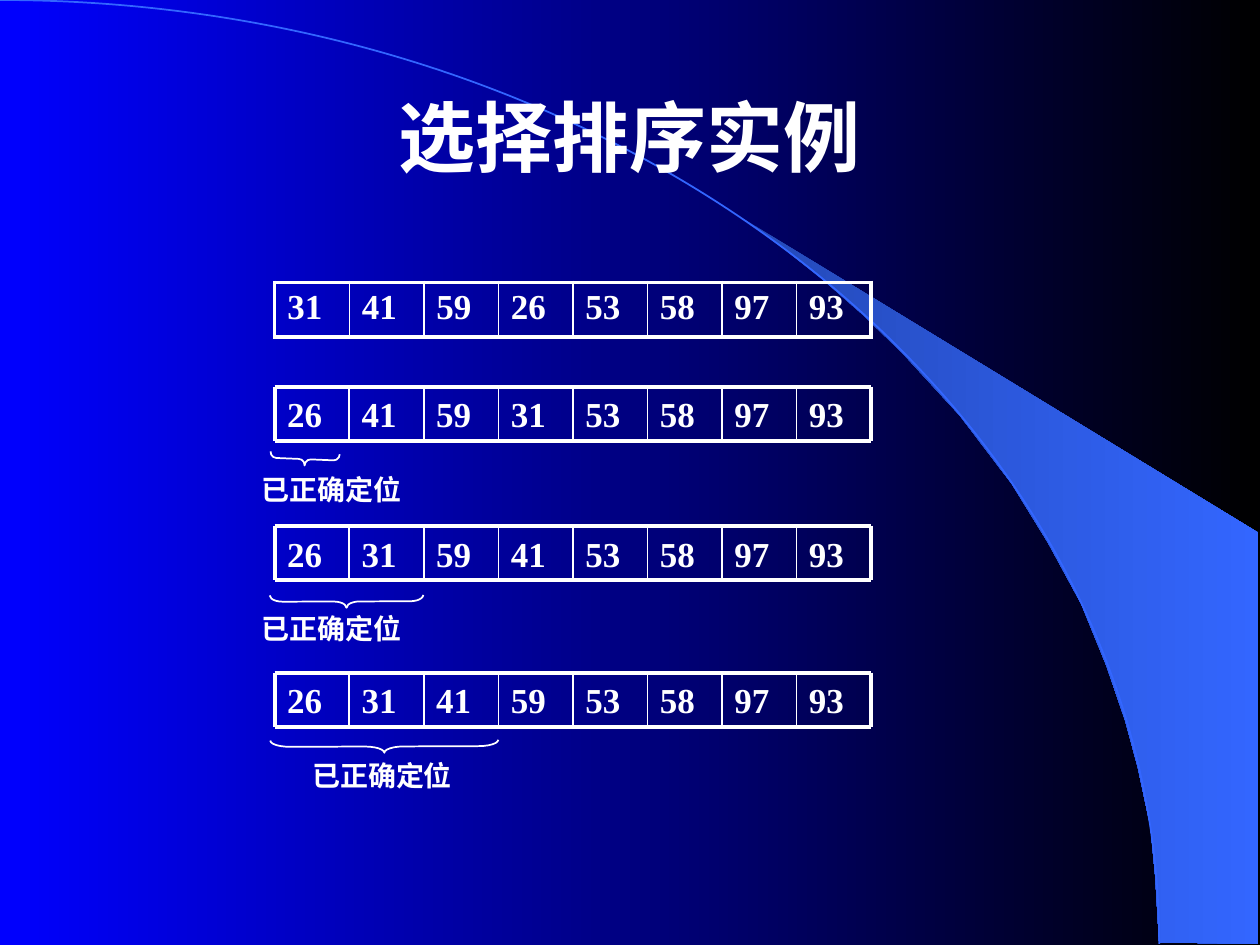
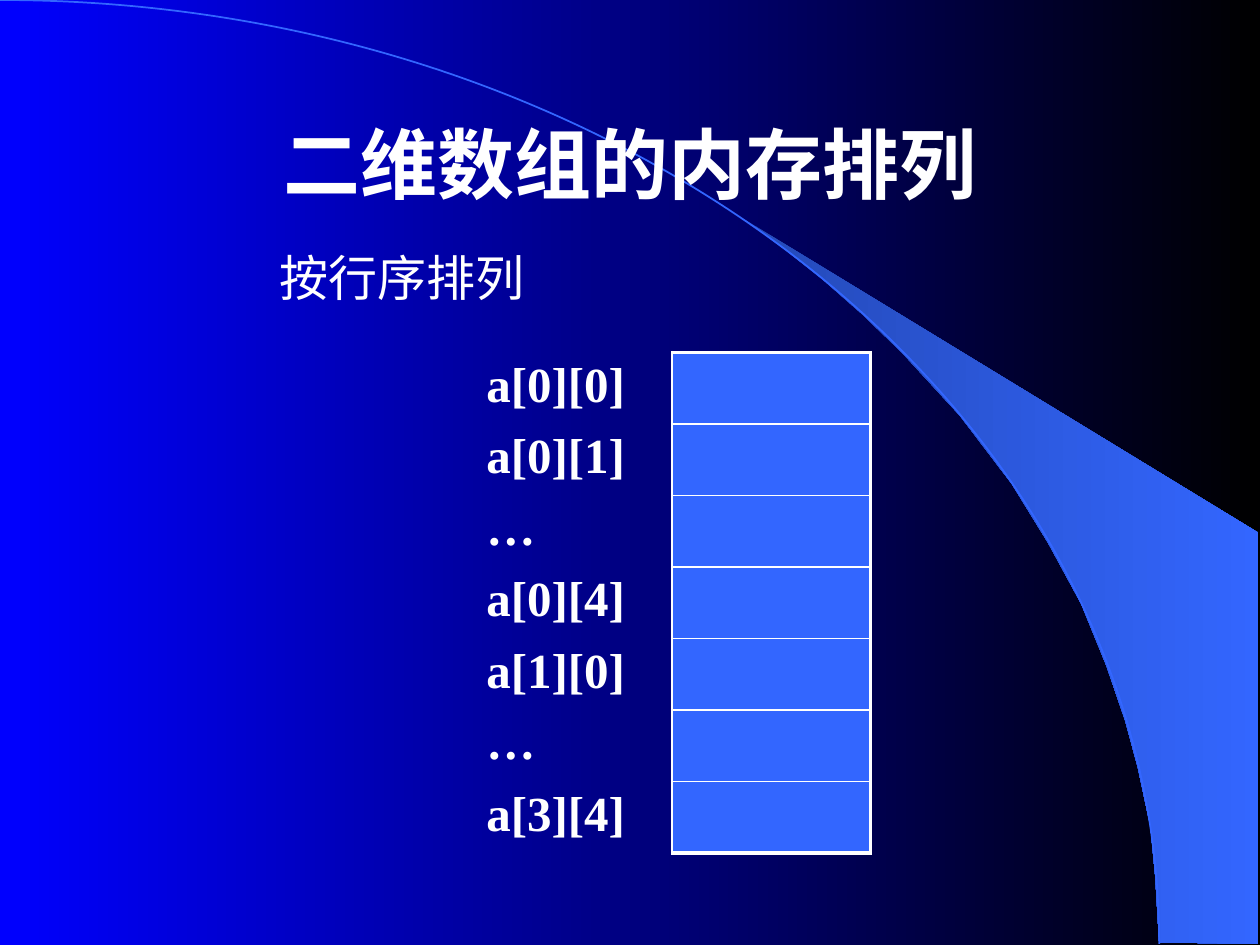
"""Build two slides: selection sort steps and row-order memory layout of an array."""
from dataclasses import dataclass

from lxml import etree
from pptx import Presentation
from pptx import util as u
from pptx.dml.color import RGBColor
from pptx.enum import shapes, text
from pptx.oxml.ns import qn


@dataclass(frozen=True)
class Theme:
    white: str = "FFFFFF"
    accent: str = "3366FF"
    background: tuple = ("0000FF", "000000")
    beam: tuple = ("2449B6", "3366FF")
    heading_font: str = "Arial"
    number_font: str = "Times New Roman"
    title: int = 44
    large: int = 28
    number: int = 20
    caption: int = 16
    thin: float = 1
    thick: float = 2.25


THEME = Theme()
BEAM = [(662.4, 538.6), (719.3, 539.3), (719.3, 304.6), (424.1, 124.6), (449.3, 143.3),
        (470.2, 159.8), (493.2, 180), (515.5, 201.6), (548.6, 237.6), (578.2, 276.5),
        (599, 310.3), (617.8, 344.9), (632.2, 380.2), (643, 411.8), (650.2, 438.5),
        (657.4, 472.3), (660.2, 501.1), (662.4, 538.6)]
ARC = [(0, 0), (365.8, 0), (662.4, 241.2), (662.4, 539.3)]

SORT_TITLE = "选择排序实例"
START = [31, 41, 59, 26, 53, 58, 97, 93]
PLACED = "已正确定位"
STEPS = [
    dict(values=[26, 41, 59, 31, 53, 58, 97, 93], top=221, caption_left=142.6,
         brace=dict(center=174.2, drop=41.4, length=39.6, turn=92.4, bend=0.47)),
    dict(values=[26, 31, 59, 41, 53, 58, 97, 93], top=300.5, caption_left=142.6,
         brace=dict(center=198, drop=43.2, length=87.8, turn=89.8, bend=1.04)),
    dict(values=[26, 31, 41, 59, 53, 58, 97, 93], top=384.4, caption_left=171.4,
         brace=dict(center=219.6, drop=42.2, length=130.3, turn=89.8, bend=1.55)),
]
ARRAY_LEFT, START_TOP, CELL_WIDTH, CELL_HEIGHT = 157, 161.3, 42.6, 31.2
BRACE_DEPTH, CAPTION_DROP, CAPTION_SIZE = 7.2, 45.4, (110, 26.6)

MEMORY_TITLE = "二维数组的内存排列"
MEMORY_ORDER = "按行序排列"
ADDRESSES = ["a[0][0]", "a[0][1]", "…", "a[0][4]", "a[1][0]", "…", "a[3][4]"]
MEMORY_BOX = (270.7, 201.4, 226.8, 286)


def points(*lengths):
    return [u.Pt(length) for length in lengths]


def color(code):
    return RGBColor.from_string(code)


def paint_gradient(fill, codes):
    fill.gradient()
    fill.gradient_angle = 0
    for stop, code in zip(fill.gradient_stops, codes):
        stop.color.rgb = color(code)


def style_line(line, width, code=THEME.white):
    line.color.rgb = color(code)
    line.width = u.Pt(width)


def write(frame, content, size, font, bold=True, before=None, align=None):
    paragraph = frame.paragraphs[0]
    if align is not None:
        paragraph.alignment = align
    if before:
        spacing = etree.SubElement(paragraph._p.get_or_add_pPr(), qn("a:spcBef"))
        etree.SubElement(spacing, qn("a:spcPct"), val=str(before * 1000))
    run = paragraph.add_run()
    run.text = str(content)
    run.font.size = u.Pt(size)
    run.font.name = font
    run.font.bold = bold
    run.font.color.rgb = color(THEME.white)


def add_text(parent, box, content, size, font, bold=True, before=50, grow=True):
    frame = parent.add_textbox(*points(*box)).text_frame
    frame.word_wrap = True
    if grow:
        frame.auto_size = text.MSO_AUTO_SIZE.SHAPE_TO_FIT_TEXT
    write(frame, content, size, font, bold, before)


def add_rule(parent, start, end, width):
    connector = parent.add_connector(shapes.MSO_CONNECTOR.STRAIGHT, *points(*start, *end))
    style_line(connector.line, width)
    etree.SubElement(connector.element.spPr, qn("a:effectLst"))


def add_outline(slide, corners, close):
    builder = slide.shapes.build_freeform(*points(*corners[0]))
    builder.add_line_segments([points(*corner) for corner in corners[1:]], close=close)
    shape = builder.convert_to_shape()
    shape.shadow.inherit = False
    return shape


def decorate_master(master, slide):
    paint_gradient(master.background.fill, THEME.background)
    beam = add_outline(slide, BEAM, True)
    paint_gradient(beam.fill, THEME.beam)
    beam.line.fill.background()
    arc = add_outline(slide, ARC, False)
    arc.fill.background()
    style_line(arc.line, THEME.thin, THEME.accent)
    outline = next(arc.element.iter(qn("a:path")))
    curve = etree.SubElement(outline, qn("a:cubicBezTo"))
    for segment in outline.findall(qn("a:lnTo")):
        curve.append(segment[0])
        outline.remove(segment)
    for index, shape in enumerate((beam, arc)):
        shape.element.nvSpPr.cNvPr.id = 101 + index
        master.shapes.element.insert(2 + index, shape.element)


def add_title(slide, content, top, height):
    title = slide.shapes.title
    title.left, title.top, title.width, title.height = points(54, top, 612, height)
    frame = title.text_frame
    frame.auto_size = text.MSO_AUTO_SIZE.NONE
    frame.vertical_anchor = text.MSO_ANCHOR.MIDDLE
    write(frame, content, THEME.title, THEME.heading_font, align=text.PP_ALIGN.CENTER)


def set_borders(cell, **widths):
    properties = cell._tc.get_or_add_tcPr()
    for index, side in enumerate("LRTB"):
        width = widths.get(side, 0)
        line = etree.Element(qn("a:ln" + side), w=str(u.Pt(width)))
        if width:
            fill = etree.SubElement(line, qn("a:solidFill"))
            etree.SubElement(fill, qn("a:srgbClr"), val=THEME.white)
        else:
            etree.SubElement(line, qn("a:noFill"))
        properties.insert(index, line)


def add_plain_table(slide, rows, columns, box):
    table = slide.shapes.add_table(rows, columns, *points(*box)).table
    table.first_row = table.horz_banding = False
    for row in table.rows:
        row.height = u.Pt(box[3] / rows)
    for column in table.columns:
        column.width = u.Pt(box[2] / columns)
    for cell in table.iter_cells():
        cell.fill.background()
    return table


def edge(at_edge):
    return THEME.thick if at_edge else THEME.thin


def add_start_table(slide):
    count = len(START)
    box = (ARRAY_LEFT, START_TOP, CELL_WIDTH * count, CELL_HEIGHT)
    table = add_plain_table(slide, 1, count, box)
    for index, value in enumerate(START):
        cell = table.cell(0, index)
        write(cell.text_frame, value, THEME.number, THEME.number_font, before=20)
        set_borders(cell, L=edge(index == 0), R=edge(index == count - 1),
                    T=THEME.thick, B=THEME.thick)


def add_step(slide, step):
    parent = slide.shapes.add_group_shape().shapes
    top, count = step["top"], len(step["values"])
    bottom, right = top + CELL_HEIGHT, ARRAY_LEFT + count * CELL_WIDTH
    for index, value in enumerate(step["values"]):
        box = (ARRAY_LEFT + index * CELL_WIDTH, top, CELL_WIDTH, CELL_HEIGHT)
        add_text(parent, box, value, THEME.number, THEME.number_font, before=20, grow=False)
    for y in (top, bottom):
        add_rule(parent, (ARRAY_LEFT, y), (right, y), THEME.thick)
    for index in range(count + 1):
        x = ARRAY_LEFT + index * CELL_WIDTH
        add_rule(parent, (x, top), (x, bottom), edge(index in (0, count)))
    mark = step["brace"]
    brace = parent.add_shape(shapes.MSO_SHAPE.RIGHT_BRACE, *points(
        mark["center"] - BRACE_DEPTH / 2, top + mark["drop"] - mark["length"] / 2,
        BRACE_DEPTH, mark["length"]))
    brace.rotation = mark["turn"]
    brace.adjustments[0] = mark["bend"]
    brace.adjustments[1] = 0.5
    brace.shadow.inherit = False
    brace.fill.background()
    style_line(brace.line, THEME.thin)
    add_text(parent, (step["caption_left"], top + CAPTION_DROP, *CAPTION_SIZE),
             PLACED, THEME.caption, THEME.heading_font)


def add_memory_table(slide):
    count = len(ADDRESSES)
    table = add_plain_table(slide, count, 2, MEMORY_BOX)
    for index, address in enumerate(ADDRESSES):
        label, slot = table.cell(index, 0), table.cell(index, 1)
        write(label.text_frame, address, THEME.large, THEME.number_font, before=20)
        set_borders(label, R=THEME.thin)
        slot.fill.solid()
        slot.fill.fore_color.rgb = color(THEME.accent)
        set_borders(slot, L=THEME.thin, R=THEME.thick,
                    T=edge(index == 0), B=edge(index == count - 1))


presentation = Presentation()
presentation.slide_width, presentation.slide_height = points(720, 540)
title_only = presentation.slide_layouts.get_by_name("Title Only")

sort_slide = presentation.slides.add_slide(title_only)
decorate_master(presentation.slide_master, sort_slide)
add_title(sort_slide, SORT_TITLE, 40.3, 74.2)
add_start_table(sort_slide)
for step in STEPS:
    add_step(sort_slide, step)

memory_slide = presentation.slides.add_slide(title_only)
add_title(memory_slide, MEMORY_TITLE, 48.2, 90)
add_memory_table(memory_slide)
add_text(memory_slide.shapes, (152.6, 138.2, 447, 41), MEMORY_ORDER,
         THEME.large, THEME.heading_font, bold=False)

presentation.save("out.pptx")
